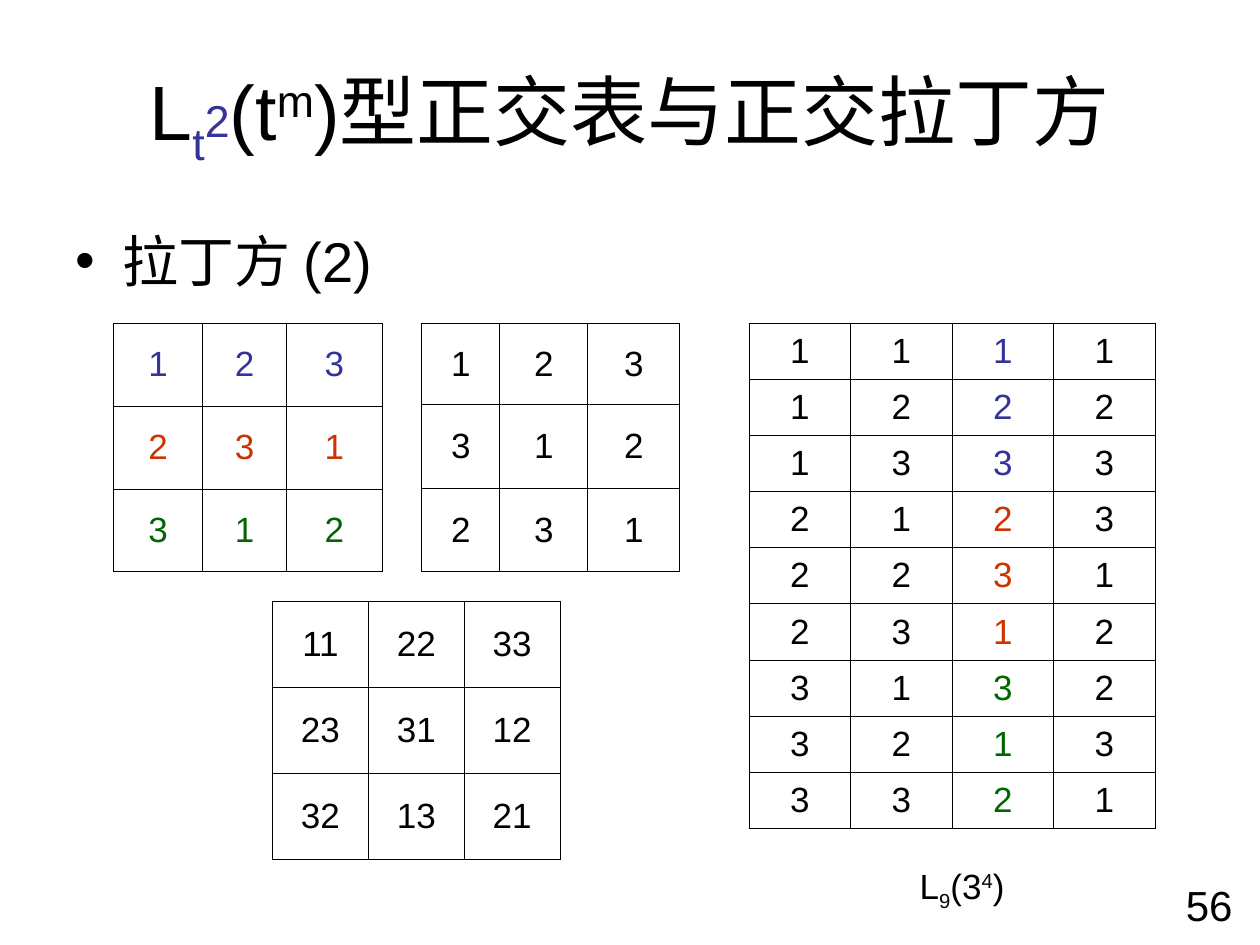
from lxml import etree
from pptx import Presentation
from pptx import util as u
from pptx.dml import color
from pptx.enum import text
from pptx.oxml import ns

BLACK, BLUE, RED, GREEN = "000000", "333399", "CC3300", "006600"
ROW_COLORS = [BLUE, RED, GREEN]
FIRST_SQUARE = ["123", "231", "312"]
SECOND_SQUARE = ["123", "312", "231"]


def rgb(value):
    return color.RGBColor.from_string(value)


def apply(target, formats):
    for name, value in formats.items():
        setattr(target, name, value)


def add_run(paragraph, wording, size, shade=BLACK, baseline=0):
    run = paragraph.add_run()
    run.text = wording
    apply(run.font, {"size": u.Pt(size), "name": "Arial"})
    run.font.color.rgb = rgb(shade)
    if baseline:
        run.font._element.set("baseline", str(baseline * 1000))


def add_line(slide, box, runs, size, paragraph_formats, frame_formats):
    frame = slide.shapes.add_textbox(*map(u.Pt, box)).text_frame
    apply(frame, {"word_wrap": True, **frame_formats})
    paragraph = frame.paragraphs[0]
    apply(paragraph, paragraph_formats)
    for run in runs:
        add_run(paragraph, *run[:1], size, *run[1:])
    return paragraph


def add_title(slide, box):
    runs = [("L",), ("t", BLUE, -25), ("2", BLUE, 5), ("(t",),
            ("m", BLACK, 30), (")型正交表与正交拉丁方",)]
    add_line(slide, box, runs, 44, {"alignment": text.PP_ALIGN.CENTER},
             {"vertical_anchor": text.MSO_ANCHOR.MIDDLE})


def add_heading(slide, box):
    heading = add_line(slide, box, [("拉丁方 (2)",)], 32,
                       {"space_before": u.Pt(8)}, {})
    properties = heading._p.get_or_add_pPr()
    indent = u.Pt(27)
    properties.set("marL", str(indent))
    properties.set("indent", str(-indent))
    bullet_color = etree.SubElement(properties, ns.qn("a:buClr"))
    etree.SubElement(bullet_color, ns.qn("a:srgbClr"), val=BLACK)
    etree.SubElement(properties, ns.qn("a:buFont"), typeface="Arial")
    etree.SubElement(properties, ns.qn("a:buChar"), char="•")


def add_caption(slide, box):
    runs = [("L",), ("9", BLACK, -25), ("(3",), ("4", BLACK, 30), (")",)]
    add_line(slide, box, runs, 20, {"space_before": u.Pt(12.5)},
             {"auto_size": text.MSO_AUTO_SIZE.SHAPE_TO_FIT_TEXT})


def add_page_number(slide, box):
    add_line(slide, box, [("56",)], 24,
             {"alignment": text.PP_ALIGN.RIGHT}, {})


def style_cell(cell, wording, shade):
    cell.vertical_anchor = text.MSO_ANCHOR.MIDDLE
    paragraph = cell.text_frame.paragraphs[0]
    paragraph.alignment = text.PP_ALIGN.CENTER
    add_run(paragraph, wording, 20, shade)
    properties = cell._tc.get_or_add_tcPr()
    for side in "LRTB":
        border = etree.SubElement(properties, ns.qn(f"a:ln{side}"),
                                  w=str(u.Pt(0.45)))
        fill = etree.SubElement(border, ns.qn("a:solidFill"))
        etree.SubElement(fill, ns.qn("a:srgbClr"), val=BLACK)
    cell.fill.background()


def add_grid(slide, left, top, widths, heights, values, shade_at):
    grid = slide.shapes.add_table(
        len(heights), len(widths), u.Pt(left), u.Pt(top),
        u.Pt(sum(widths)), u.Pt(sum(heights))).table
    apply(grid, {"first_row": False, "horz_banding": False})
    for column, width in zip(grid.columns, widths):
        column.width = u.Pt(width)
    for row, height in zip(grid.rows, heights):
        row.height = u.Pt(height)
    for r, row_values in enumerate(values):
        for c, value in enumerate(row_values):
            style_cell(grid.cell(r, c), value, shade_at(r, c))


def main():
    deck = Presentation()
    apply(deck, {"slide_width": u.Pt(720), "slide_height": u.Pt(540)})
    slide = deck.slides.add_slide(deck.slide_layouts[6])

    pairs = [[a + b for a, b in zip(*rows)]
             for rows in zip(FIRST_SQUARE, SECOND_SQUARE)]
    orthogonal = [f"{r + 1}{c + 1}{pairs[r][c]}"
                  for r in range(3) for c in range(3)]

    add_title(slide, (36, 21.6, 648, 90))
    add_heading(slide, (36, 126, 648, 356.4))
    add_grid(slide, 64.8, 184.8, [51, 48, 54.7], [47.3] * 3, FIRST_SQUARE,
             lambda r, c: ROW_COLORS[r])
    add_grid(slide, 155.7, 343.6, [54.8] * 3, [49.15] * 3, pairs,
             lambda r, c: BLACK)
    add_grid(slide, 241, 184.8, [44.6, 50.3, 52.6], [46.3, 47.8, 47.8],
             SECOND_SQUARE, lambda r, c: BLACK)
    add_grid(slide, 428, 184.6, [58] * 4, [32.1] * 9, orthogonal,
             lambda r, c: ROW_COLORS[r // 3] if c == 2 else BLACK)
    add_caption(slide, (518.4, 490.3, 68.4, 34.6))
    add_page_number(slide, (543.6, 499, 167.8, 37.4))
    deck.save("out.pptx")


if __name__ == "__main__":
    main()
